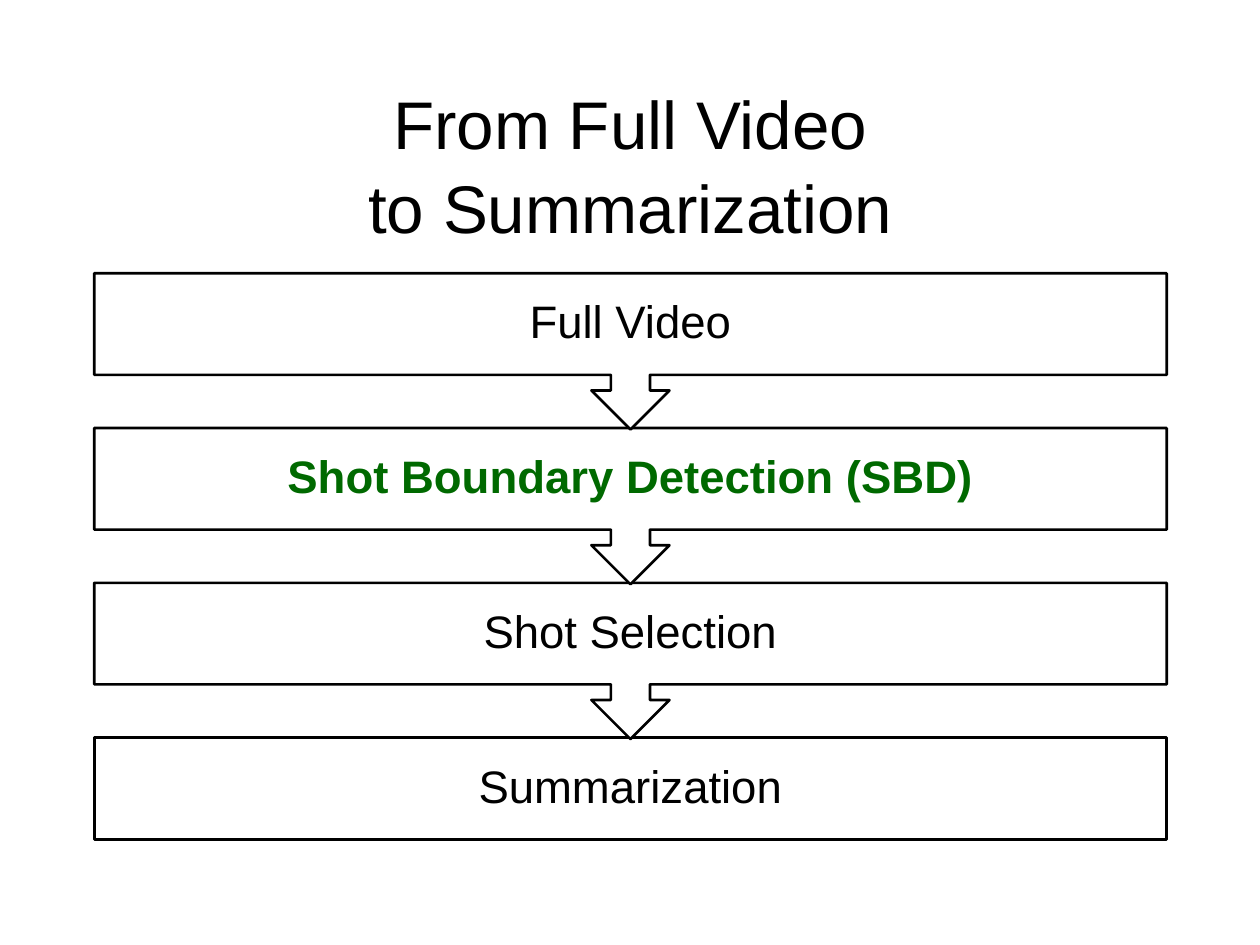
from dataclasses import dataclass

from pptx import Presentation
from pptx import util as u
from pptx.dml.color import RGBColor
from pptx.enum import shapes, text

LEFT, WIDTH = 1.9, 21.62
FIRST_TOP, PITCH = 5.51, 3.12
BODY_HEIGHT, CALLOUT_HEIGHT = 2.06, 3.15
CALLOUT_ADJUSTMENTS = (0.25, 0.25, 0.25, 0.65)


@dataclass
class Step:
    label: str
    color: str = "000000"
    bold: bool = False


STEPS = [
    Step("Full Video"),
    Step("Shot Boundary Detection (SBD)", "006900", True),
    Step("Shot Selection"),
    Step("Summarization"),
]


def rgb(value: str) -> RGBColor:
    return RGBColor.from_string(value)


def write(box, words: str, size: float, color: str, bold: bool, margin: float, spacing: float) -> None:
    frame = box.text_frame
    frame.word_wrap = True
    frame.vertical_anchor = text.MSO_ANCHOR.MIDDLE
    frame.margin_left = frame.margin_right = u.Cm(margin)
    frame.margin_top = frame.margin_bottom = u.Cm(margin)
    para = frame.paragraphs[0]
    para.text = words
    para.alignment = text.PP_ALIGN.CENTER
    para.line_spacing = spacing
    for span in para.runs:
        span.font.name = "Arial"
        span.font.size = u.Pt(size)
        span.font.bold = bold
        span.font.color.rgb = rgb(color)


def draw_title(page, words: str) -> None:
    box = page.shapes.add_textbox(u.Cm(LEFT), u.Cm(1.7), u.Cm(WIDTH), u.Cm(3.18))
    write(box, words, 38.5, "000000", False, 0.15, 1.04)


def draw_step(page, step: Step, index: int, is_last: bool) -> None:
    kind = shapes.MSO_SHAPE.RECTANGLE if is_last else shapes.MSO_SHAPE.DOWN_ARROW_CALLOUT
    height = BODY_HEIGHT if is_last else CALLOUT_HEIGHT
    box = page.shapes.add_shape(
        kind, u.Cm(LEFT), u.Cm(FIRST_TOP + index * PITCH), u.Cm(WIDTH), u.Cm(height)
    )
    if not is_last:
        for position, value in enumerate(CALLOUT_ADJUSTMENTS):
            box.adjustments[position] = value
    box.shadow.inherit = False
    box.fill.solid()
    box.fill.fore_color.rgb = rgb("FFFFFF")
    box.line.color.rgb = rgb("000000")
    box.line.width = u.Pt(1.5)
    write(box, step.label, 26, step.color, step.bold, 0.51, 0.9)


def main() -> None:
    deck = Presentation()
    deck.slide_width, deck.slide_height = u.Cm(25.4), u.Cm(19.05)
    page = deck.slides.add_slide(deck.slide_layouts[6])
    draw_title(page, "From Full Video\vto Summarization")
    for index, step in reversed(list(enumerate(STEPS))):
        draw_step(page, step, index, index == len(STEPS) - 1)
    deck.save("out.pptx")


if __name__ == "__main__":
    main()
